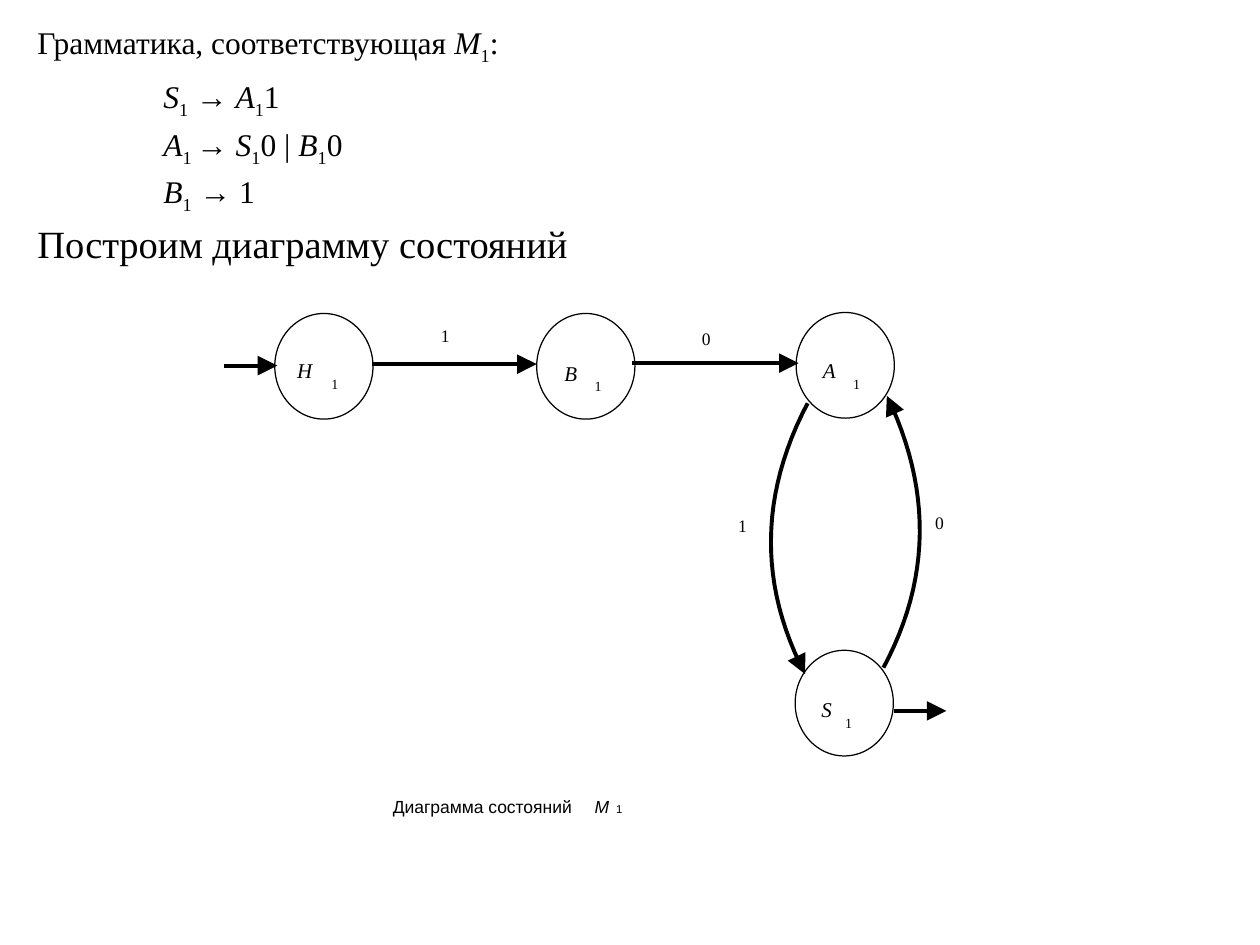
"""Build a slide with a right-linear grammar and its state diagram."""
from lxml.etree import SubElement
from pptx import Presentation
from pptx.dml.color import RGBColor
from pptx.enum.shapes import MSO_CONNECTOR, MSO_SHAPE
from pptx.enum.text import MSO_ANCHOR
from pptx.oxml.ns import qn
from pptx.util import Cm, Pt

BLACK = "000000"
SERIF = "Times New Roman"
SANS = "Arial"


def add_run(paragraph, text, size, name=SERIF, italic=False):
    """Append a formatted run and return it."""
    run = paragraph.add_run()
    run.text = text
    font_format = {"size": Pt(size), "name": name, "italic": italic}
    for attribute, value in font_format.items():
        setattr(run.font, attribute, value)
    run.font.color.rgb = RGBColor.from_string(BLACK)
    return run


def style_arrow(shape):
    """Give a line its weight, colour and arrowhead, without a shadow."""
    shape.line.width = Pt(2.25)
    shape.line.color.rgb = RGBColor.from_string(BLACK)
    properties = shape.element.spPr
    SubElement(properties.find(qn("a:ln")), qn("a:tailEnd"), type="triangle", w="lg", len="lg")
    SubElement(properties, qn("a:effectLst"))


presentation = Presentation()
presentation.slide_width = Cm(25.4)
presentation.slide_height = Cm(19.05)
slide = presentation.slides.add_slide(presentation.slide_layouts[1])
slide.shapes.title.element.getparent().remove(slide.shapes.title.element)

body = slide.placeholders[1]
body_box = {"left": Cm(0.5), "top": Cm(0.33), "width": Cm(12.7), "height": Cm(4.83)}
for attribute, value in body_box.items():
    setattr(body, attribute, value)
body.text_frame.vertical_anchor = MSO_ANCHOR.TOP

# noqa
grammar = [
    (0, 6, 18, [("Грамматика, соответствующая ", ""), ("M", "italic"), ("1", "sub"), (":", "")]),
    (2.54, 2.7, 18, [("S", "italic"), ("1", "sub"), (" → ", ""), ("A", "italic"),
                     ("1", "sub"), ("1", "")]),
    (2.54, 2.2, 18, [("A", "italic"), ("1 ", "sub"), ("→ S", "italic"), ("1", "sub"),
                     ("0 | ", ""), ("B", "italic"), ("1", "sub"), ("0", "")]),
    (2.54, 2.7, 18, [("B", "italic"), ("1", "sub"), (" →", "italic"), (" 1", "")]),
    (0, 2.7, 22, [("Построим диаграмму состояний", "")]),
]
for index, (indent, space_after, size, runs) in enumerate(grammar):
    paragraph = body.text_frame.paragraphs[0] if index == 0 else body.text_frame.add_paragraph()
    paragraph_format = {"line_spacing": 1.01, "space_before": Pt(0), "space_after": Pt(space_after)}
    for attribute, value in paragraph_format.items():
        setattr(paragraph, attribute, value)
    properties = paragraph._p.get_or_add_pPr()
    properties.set("marL", str(Cm(indent)))
    properties.set("indent", "0")
    SubElement(properties, qn("a:buNone"))
    for text, style in runs:
        run = add_run(paragraph, text, size, italic=style == "italic")
        if style == "sub":
            run._r.get_or_add_rPr().set("baseline", "-25000")

labels = [
    ("Диаграмма состояний", 7.92, 15.98, 4, 10, SANS, False),
    ("M", 11.99, 15.98, 0.43, 10, SANS, True),
    ("1", 12.42, 16.13, 0.3, 6.5, SANS, False),
    ("1", 8.89, 6.48, 0.56, 10, SERIF, False),
    ("0", 14.15, 6.55, 0.56, 10, SERIF, False),
    ("1", 14.88, 10.31, 0.56, 10, SERIF, False),
    ("0", 18.85, 10.26, 0.56, 10, SERIF, False),
]

states = [
    ("H", 5.54, 6.32, 5.99, 7.14, 0.69),
    ("B", 10.82, 6.32, 11.38, 7.19, 0.61),
    ("A", 16.05, 6.3, 16.59, 7.14, 0.61),
    ("S", 16.03, 13.11, 16.56, 13.97, 0.48),
]
for letter, left, top, letter_left, letter_top, index_shift in states:
    state = slide.shapes.add_shape(MSO_SHAPE.OVAL, Cm(left), Cm(top), Cm(1.98), Cm(2.13))
    state.shadow.inherit = False
    state.fill.background()
    state.line.color.rgb = RGBColor.from_string(BLACK)
    state.line.width = Pt(0.72)
    labels += [
        (letter, letter_left, letter_top, 0.8, 12, SERIF, True),
        ("1", letter_left + index_shift, letter_top + 0.38, 0.43, 8, SERIF, False),
    ]

for start, end, height in [(4.52, 5.59, 7.37), (7.49, 10.82, 7.34),
                           (12.75, 16.1, 7.32), (18.03, 19.08, 14.33)]:
    arrow = slide.shapes.add_connector(
        MSO_CONNECTOR.STRAIGHT, Cm(start), Cm(height), Cm(end), Cm(height))
    style_arrow(arrow)

curves = [
    ((16.28, 8.13), (14.83, 10.9), (16.23, 13.59)),
    ((17.81, 13.46), (19.24, 10.8), (17.88, 7.98)),
]
for curve in curves:
    points = []
    for step in range(25):
        t = step / 24
        weights = ((1 - t) ** 2, 2 * t * (1 - t), t ** 2)
        points.append(tuple(
            Cm(sum(weight * point[axis] for weight, point in zip(weights, curve)))
            for axis in (0, 1)))
    builder = slide.shapes.build_freeform(*points[0])
    builder.add_line_segments(points[1:], close=False)
    arc = builder.convert_to_shape()
    arc.fill.background()
    style_arrow(arc)

for text, left, top, width, size, name, italic in labels:
    label = slide.shapes.add_textbox(Cm(left), Cm(top), Cm(width), Cm(1))
    frame = label.text_frame
    frame_format = {"word_wrap": True, "margin_left": 0, "margin_right": 0,
                    "margin_top": 0, "margin_bottom": 0}
    for attribute, value in frame_format.items():
        setattr(frame, attribute, value)
    frame.paragraphs[0].line_spacing = 1.15
    add_run(frame.paragraphs[0], text, size, name, italic)

presentation.save("out.pptx")
